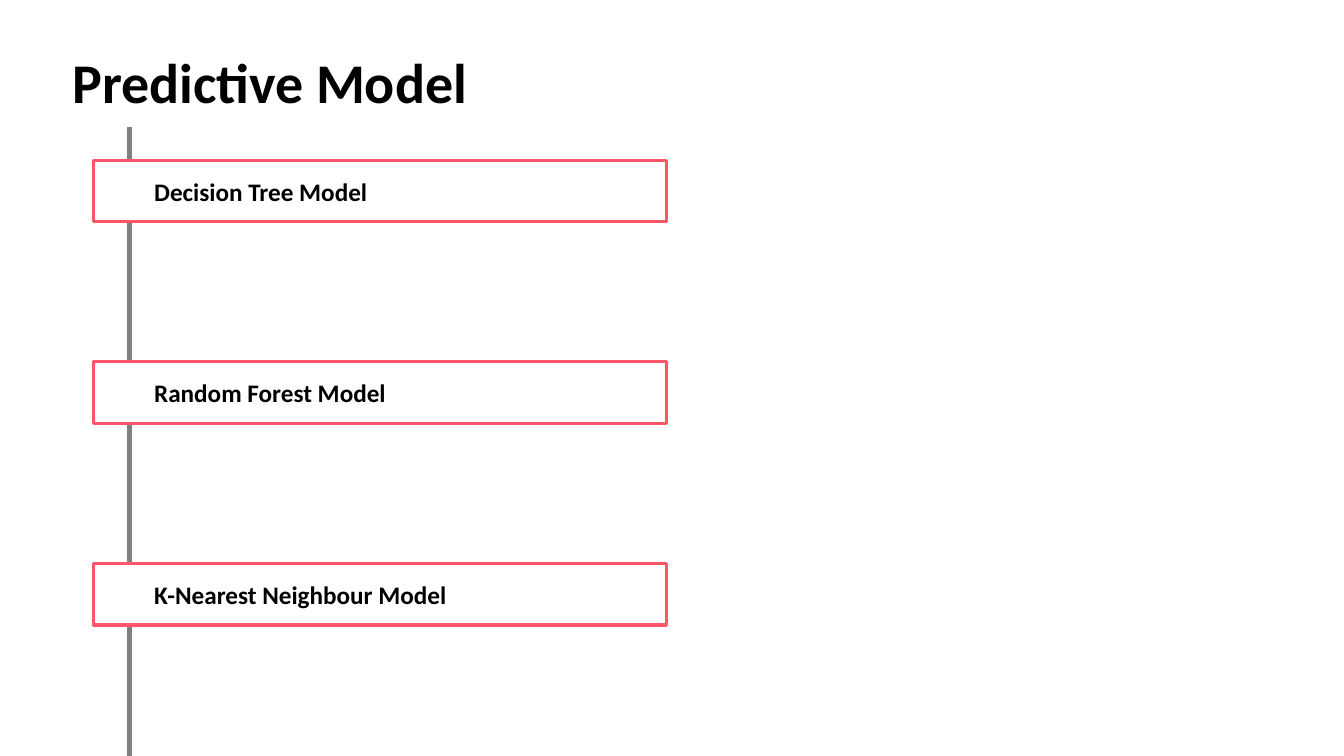
from pptx import Presentation
from pptx.dml.color import RGBColor
from pptx.enum.shapes import MSO_CONNECTOR, MSO_SHAPE
from pptx.enum.text import MSO_ANCHOR, MSO_AUTO_SIZE, PP_ALIGN
from pptx.oxml.ns import qn
from pptx.util import Pt
from lxml.etree import SubElement

FONT = "Calibri"
BLACK, WHITE, GREY, CORAL = "000000", "FFFFFF", "808080", "FF5767"
MODELS = ["Decision Tree Model", "Random Forest Model", "K-Nearest Neighbour Model"]
FIRST_TOP, STEP = 114.5, 144


def rgb(value):
    return RGBColor.from_string(value)


def fill(s, color):
    s.fill.solid()
    s.fill.fore_color.rgb = rgb(color)


def set_text(tf, text, size):
    tf.text = text
    p = tf.paragraphs[0]
    p.alignment = PP_ALIGN.LEFT
    font = p.runs[0].font
    font.name, font.size, font.bold = FONT, Pt(size), True
    font.color.rgb = rgb(BLACK)
    return p


def add_title(slide, text):
    s = slide.shapes.add_textbox(Pt(44.6), Pt(30.2), Pt(300.2), Pt(55.4))
    fill(s, WHITE)
    set_text(s.text_frame, text, 40)
    s.text_frame.word_wrap = False
    s.text_frame.auto_size = MSO_AUTO_SIZE.SHAPE_TO_FIT_TEXT


def add_timeline(slide, x, top, bottom):
    s = slide.shapes.add_connector(MSO_CONNECTOR.STRAIGHT, Pt(x), Pt(top), Pt(x), Pt(bottom))
    s.line.color.rgb = rgb(GREY)
    s.line.width = Pt(3.75)
    SubElement(s._element.spPr, qn("a:effectLst"))


def add_model_box(slide, text, top):
    s = slide.shapes.add_shape(MSO_SHAPE.RECTANGLE, Pt(67), Pt(top), Pt(409), Pt(44))
    s.shadow.inherit = False
    fill(s, WHITE)
    s.line.color.rgb = rgb(CORAL)
    s.line.width = Pt(2.25)
    tf = s.text_frame
    tf.word_wrap = True
    tf.vertical_anchor = MSO_ANCHOR.MIDDLE
    p = set_text(tf, text, 18)
    p.level = 1
    pPr = p._p.get_or_add_pPr()
    pPr.set("marL", str(Pt(36)))
    pPr.set("indent", "0")


def main():
    prs = Presentation()
    prs.slide_width, prs.slide_height = Pt(960), Pt(540)
    slide = prs.slides.add_slide(prs.slide_layouts[6])
    add_title(slide, "Predictive Model")
    add_timeline(slide, 92.5, 90.7, 547)
    for i, model in enumerate(MODELS):
        add_model_box(slide, model, FIRST_TOP + i * STEP)
    prs.save("out.pptx")


if __name__ == "__main__":
    main()
